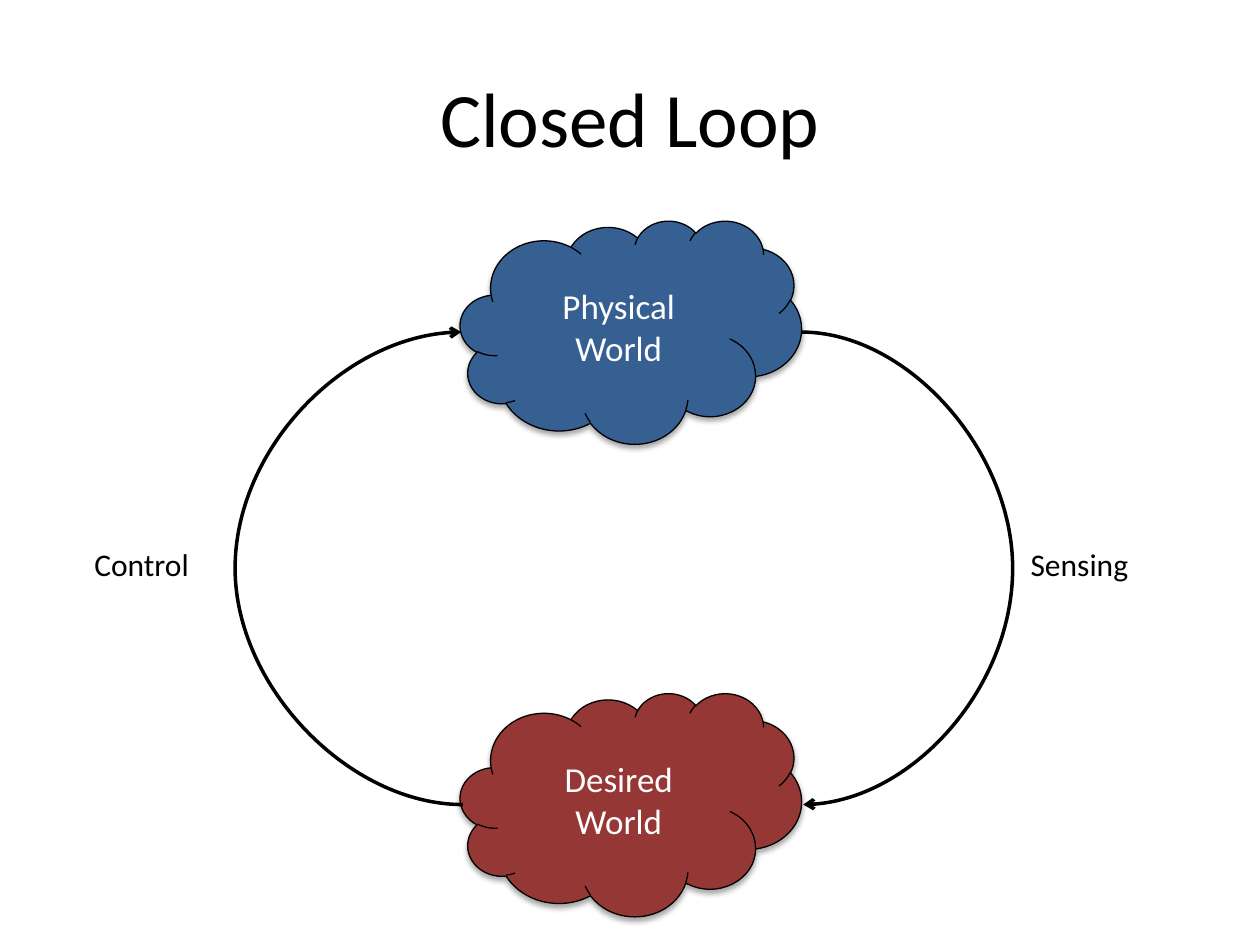
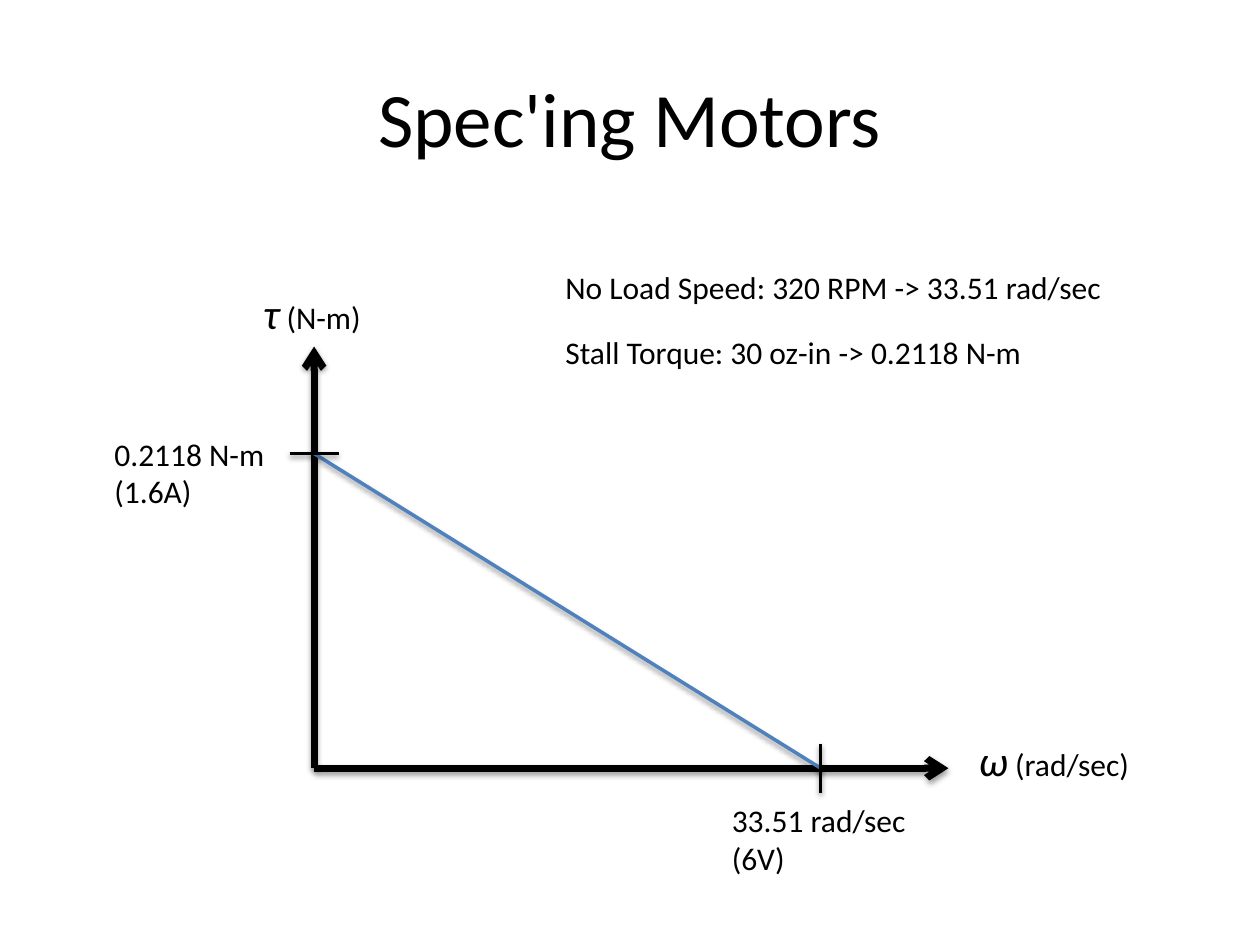
from pptx import Presentation
from pptx import util as u
from pptx.dml.color import RGBColor
from pptx.enum import shapes, text
from pptx.oxml import parse_xml
from pptx.oxml.ns import nsdecls, qn

Pt = u.Pt
FONT = "Calibri"
COLORS = {
    "ink": "000000",
    "paper": "FFFFFF",
    "physical": "376092",
    "desired": "953735",
    "curve": "4F81BD",
}
CENTER = text.PP_ALIGN.CENTER
LEFT = text.PP_ALIGN.LEFT
MIDDLE = text.MSO_ANCHOR.MIDDLE


def color(name):
    return RGBColor.from_string(COLORS[name])


def write(frame, paragraphs, size=18, ink="ink", align=LEFT):
    """Each paragraph is a string or a list of (text, size, italic) spans."""
    for index, content in enumerate(paragraphs):
        para = frame.paragraphs[0] if index == 0 else frame.add_paragraph()
        para.alignment = align
        spans = [(content, size, False)] if isinstance(content, str) else content
        for words, points, italic in spans:
            span = para.add_run()
            span.text = words
            span.font.name = FONT
            span.font.size = Pt(points)
            span.font.italic = italic
            span.font.color.rgb = color(ink)


def add_page(deck, heading):
    page = deck.slides.add_slide(deck.slide_layouts[5])
    title = page.shapes.title
    title.left, title.top, title.width, title.height = Pt(36), Pt(21.6), Pt(648), Pt(90)
    title.text_frame.vertical_anchor = MIDDLE
    write(title.text_frame, [heading], size=44, align=CENTER)
    return page


def add_label(page, left, top, width, height, paragraphs):
    box = page.shapes.add_textbox(Pt(left), Pt(top), Pt(width), Pt(height))
    box.text_frame.word_wrap = False
    box.text_frame.auto_size = text.MSO_AUTO_SIZE.SHAPE_TO_FIT_TEXT
    write(box.text_frame, paragraphs)


def set_shadow(shape, distance=None, opacity=35):
    properties = shape.element.spPr
    for effects in properties.findall(qn("a:effectLst")):
        properties.remove(effects)
    shadow = ""
    if distance is not None:
        shadow = (
            f'<a:outerShdw blurRad="{Pt(3.1)}" dist="{Pt(distance)}" dir="5400000" rotWithShape="0">'
            f'<a:srgbClr val="{COLORS["ink"]}"><a:alpha val="{opacity * 1000}"/></a:srgbClr>'
            "</a:outerShdw>"
        )
    properties.append(parse_xml(f'<a:effectLst {nsdecls("a")}>{shadow}</a:effectLst>'))


def add_cloud(page, left, top, width, height, paragraphs, fill):
    cloud = page.shapes.add_shape(
        shapes.MSO_SHAPE.CLOUD, Pt(left), Pt(top), Pt(width), Pt(height)
    )
    cloud.fill.solid()
    cloud.fill.fore_color.rgb = color(fill)
    cloud.line.color.rgb = color("ink")
    cloud.line.width = Pt(0.75)
    set_shadow(cloud, distance=1.8)
    cloud.text_frame.word_wrap = True
    cloud.text_frame.vertical_anchor = MIDDLE
    write(cloud.text_frame, paragraphs, size=20, ink="paper", align=CENTER)


def add_connector(page, kind, start, end, width, ink="ink", arrow=False):
    connector = page.shapes.add_connector(kind, *(Pt(value) for value in start + end))
    connector.line.color.rgb = color(ink)
    connector.line.width = Pt(width)
    if arrow:
        line = connector.line._get_or_add_ln()
        line.append(parse_xml(f'<a:tailEnd {nsdecls("a")} type="arrow"/>'))
    return connector


def add_line(page, start, end, width=2, ink="ink", arrow=False):
    line = add_connector(
        page, shapes.MSO_CONNECTOR.STRAIGHT, start, end, width, ink, arrow
    )
    set_shadow(line, distance=1.6, opacity=38)


def add_arc(page, left, top, bottom, bulge, rotation=0):
    arc = add_connector(
        page, shapes.MSO_CONNECTOR.CURVE, (left, top), (left + 1, bottom), 2, arrow=True
    )
    arc.rotation = rotation
    set_shadow(arc)
    geometry = arc.element.spPr.find(qn("a:prstGeom"))
    for guides in geometry.findall(qn("a:avLst")):
        geometry.remove(guides)
    geometry.append(
        parse_xml(
            f'<a:avLst {nsdecls("a")}>'
            f'<a:gd name="adj1" fmla="val {round(bulge * 100000)}"/></a:avLst>'
        )
    )


def build_closed_loop(deck):
    page = add_page(deck, "Closed Loop")
    left, width, height = 263, 195, 127.5
    physical_top, desired_top = 126, 396
    add_cloud(page, left, physical_top, width, height, ["Physical", "World"], "physical")
    add_cloud(page, left, desired_top, width, height, ["Desired", "World"], "desired")

    upper, lower = physical_top + height / 2, desired_top + height / 2
    add_arc(page, left + 0.5, upper, lower, bulge=131.2, rotation=180)
    add_label(page, 46.8, 308, 69.8, 29, ["Control"])
    add_arc(page, left + width, upper, lower, bulge=121.65)
    add_label(page, 581.8, 308, 70.6, 29, ["Sensing"])


def build_motors(deck):
    page = add_page(deck, "Spec'ing Motors")
    add_label(page, 316, 149.8, 324.7, 29, ["No Load Speed: 320 RPM -> 33.51 rad/sec"])
    add_label(page, 316, 186.5, 280, 29, ["Stall Torque: 30 oz-in -> 0.2118 N-m"])

    origin_x, origin_y = 179.5, 439
    stall_y, no_load_x = 259.2, 469
    origin = (origin_x, origin_y)
    add_line(page, origin, (origin_x, 198), width=4, arrow=True)
    add_line(page, origin, (542, origin_y), width=4, arrow=True)
    add_line(page, (origin_x, stall_y), (no_load_x, origin_y), ink="curve")
    tick = 14
    add_line(page, (origin_x - tick, stall_y), (origin_x + tick, stall_y))
    add_line(page, (no_load_x, origin_y - tick), (no_load_x, origin_y + tick))

    add_label(
        page, 143.3, 160.6, 72, 36,
        [[("τ", 24, True), (" ", 18, True), ("(N-m)", 18, False)]],
    )
    add_label(page, 552.2, 416.2, 103, 36, [[("ω", 24, True), (" (rad/sec)", 18, False)]])
    add_label(page, 58.3, 244.8, 100.8, 51, ["0.2118 N-m", "(1.6A)"])
    add_label(page, 411.1, 454.3, 115.2, 51, ["33.51 rad/sec", "(6V)"])


def main():
    deck = Presentation()
    deck.slide_width, deck.slide_height = Pt(720), Pt(540)
    build_closed_loop(deck)
    build_motors(deck)
    deck.save("out.pptx")


if __name__ == "__main__":
    main()
